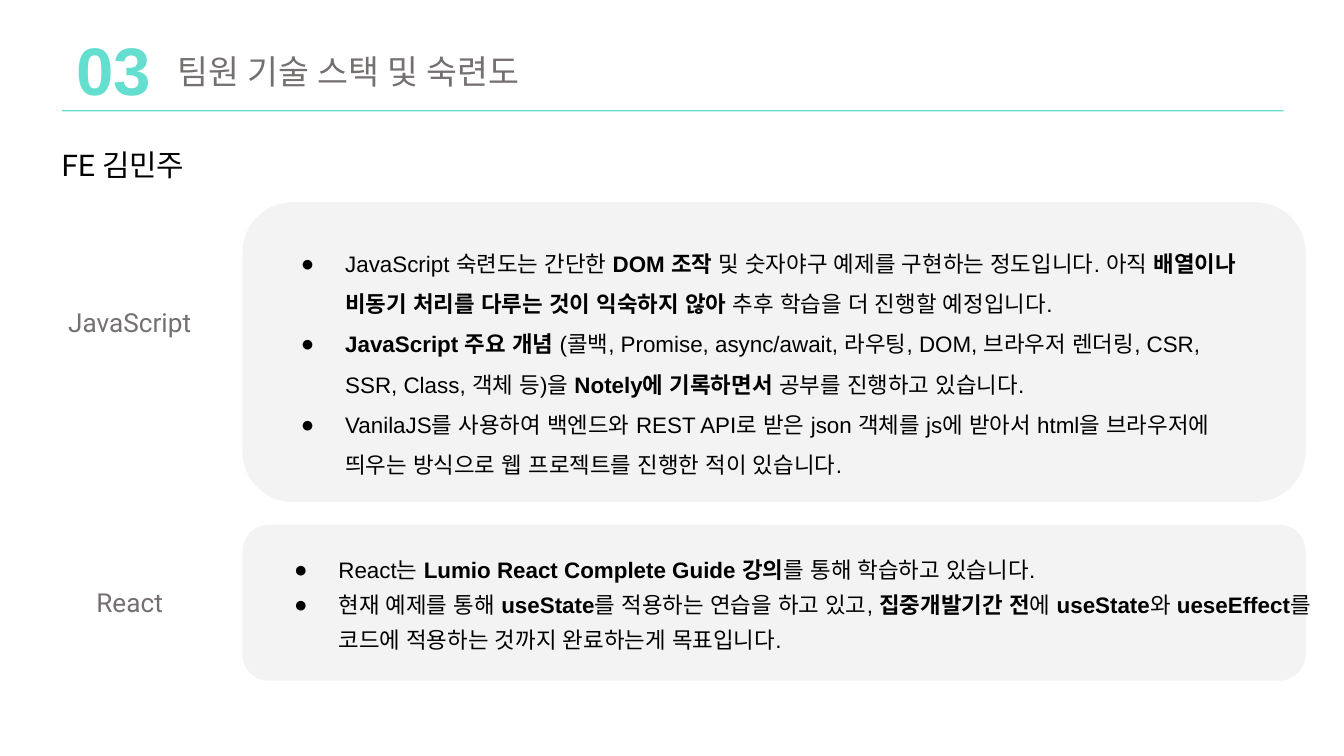
from lxml import etree
from pptx import Presentation
from pptx.dml.color import RGBColor
from pptx.enum.shapes import MSO_SHAPE
from pptx.enum.text import PP_ALIGN
from pptx.oxml.ns import qn
from pptx.util import Inches, Pt

RECT = MSO_SHAPE.RECTANGLE
ROUNDED = MSO_SHAPE.ROUNDED_RECTANGLE
LEFT, CENTER = PP_ALIGN.LEFT, PP_ALIGN.CENTER

TEAL, GRAY, PANEL, BLACK = "64DECF", "757070", "F3F3F3", "000000"

# Text between ** marks is bold
JAVASCRIPT_NOTES = [
    "JavaScript 숙련도는 간단한 **DOM 조작** 및 숫자야구 예제를 구현하는 정도입니다. 아직 "
    "**배열이나 비동기 처리를 다루는 것이 익숙하지 않아** 추후 학습을 더 진행할 예정입니다.",
    "**JavaScript 주요 개념** (콜백, Promise, async/await, 라우팅, DOM, 브라우저 렌더링, CSR, "
    "SSR, Class, 객체 등)을 **Notely에 기록하면서 **공부를 진행하고 있습니다.",
    "VanilaJS를 사용하여 백엔드와 REST API로 받은 json 객체를 js에 받아서 html을 "
    "브라우저에 띄우는 방식으로 웹 프로젝트를 진행한 적이 있습니다.",
]
REACT_NOTES = [
    "React는 **Lumio React Complete Guide 강의**를 통해 학습하고 있습니다.",
    "현재 예제를 통해 **useState**를 적용하는 연습을 하고 있고, **집중개발기간 전**에 "
    "**useState**와 **ueseEffect**를 코드에 적용하는 것까지 완료하는게 목표입니다.",
]


def rgb(value):
    return RGBColor.from_string(value)


def add_block(s, kind, box, color):
    sp = s.shapes.add_shape(kind, *map(Inches, box))
    sp.shadow.inherit = False
    sp.fill.solid()
    sp.fill.fore_color.rgb = rgb(color)
    sp.line.fill.background()
    return sp


def add_panel(s, box):
    sp = add_block(s, ROUNDED, box, PANEL)
    sp.adjustments[0] = 0.167
    sp.line.color.rgb = rgb(PANEL)
    sp.line.width = Pt(0.75)


def add_frame(s, box, insets):
    tf = s.shapes.add_textbox(*map(Inches, box)).text_frame
    tf.word_wrap = True
    for side, inset in zip(("left", "top", "right", "bottom"), insets):
        setattr(tf, f"margin_{side}", Inches(inset))
    return tf


def add_run(p, text, color, **font):
    r = p.add_run()
    r.text = text
    r.font.color.rgb = rgb(color)
    for name, value in font.items():
        setattr(r.font, name, value)
    # Hangul uses the same typeface as Latin text
    for tag in ("a:ea", "a:cs"):
        etree.SubElement(r.font._element, qn(tag), typeface=font["name"])


def add_label(s, box, text, size, color, name="Roboto", bold=False,
              align=LEFT, insets=(0.1,) * 4):
    p = add_frame(s, box, insets).paragraphs[0]
    p.alignment = align
    add_run(p, text, color, size=Pt(size), name=name, bold=bold)


def set_bullet(p):
    pPr = p._p.get_or_add_pPr()
    pPr.set("marL", str(Inches(0.5)))
    pPr.set("indent", str(Inches(-0.33)))
    color = etree.SubElement(pPr, qn("a:buClr"))
    etree.SubElement(color, qn("a:srgbClr"), val=BLACK)
    etree.SubElement(pPr, qn("a:buSzPts"), val="1200")
    etree.SubElement(pPr, qn("a:buFont"), typeface="Arial")
    etree.SubElement(pPr, qn("a:buChar"), char="●")


def add_notes(s, box, notes, spacing):
    tf = add_frame(s, box, (0.1, 0.3, 0.1, 0.1))
    for i, note in enumerate(notes):
        p = tf.add_paragraph() if i else tf.paragraphs[0]
        p.line_spacing = spacing
        set_bullet(p)
        for j, part in enumerate(note.split("**")):
            if part:
                add_run(p, part, BLACK, size=Pt(12), name="Arial", bold=j % 2 == 1)


def main():
    prs = Presentation()
    prs.slide_width = Inches(10)
    prs.slide_height = prs.slide_width * 9 // 16
    s = prs.slides.add_slide(prs.slide_layouts[6])

    # Header
    add_block(s, RECT, (0.46, 0.82, 9.09, 0.01), TEAL)
    add_label(s, (0.5, 0.17, 0.72, 0.68), "03", 36, TEAL, "Arial", True,
              insets=(0.07, 0.04, 0.07, 0.04))
    add_label(s, (1.22, 0.28, 3.28, 0.5), "팀원 기술 스택 및 숙련도", 18, GRAY)
    add_label(s, (0.36, 0.99, 1.35, 0.47), "FE 김민주", 16, BLACK)

    # Skill panels
    add_panel(s, (1.81, 1.51, 7.9, 2.22))
    add_panel(s, (1.81, 3.91, 7.9, 1.15))
    add_notes(s, (1.97, 1.46, 7.41, 2.48), JAVASCRIPT_NOTES, 1.5)
    add_notes(s, (1.92, 3.78, 8.03, 1.72), REACT_NOTES, 1.3)

    # Skill names
    add_label(s, (0.29, 2.18, 1.35, 0.44), "JavaScript", 14, GRAY, align=CENTER)
    add_label(s, (0.21, 4.26, 1.51, 0.44), "React", 14, GRAY, align=CENTER)

    prs.save("out.pptx")


if __name__ == "__main__":
    main()
